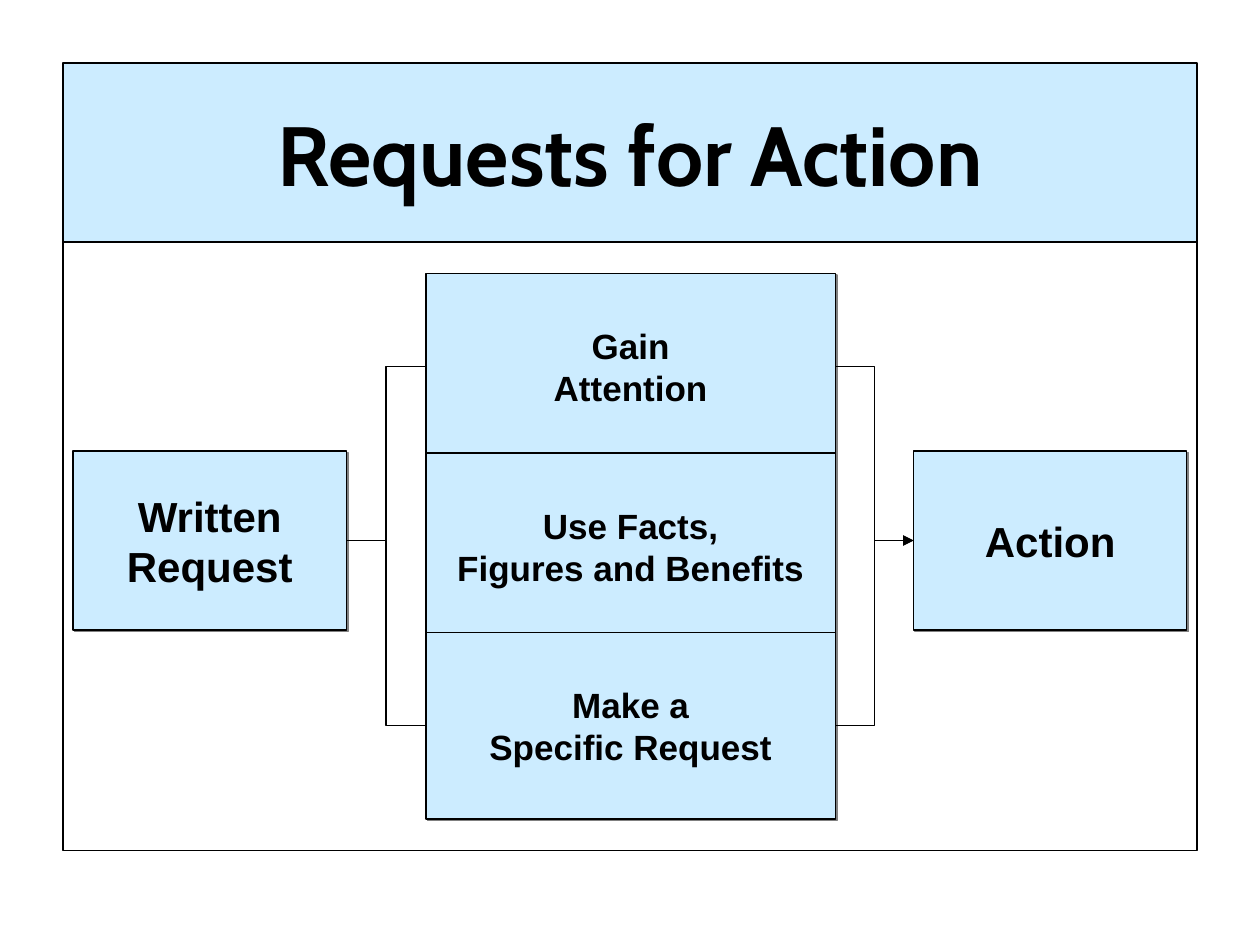
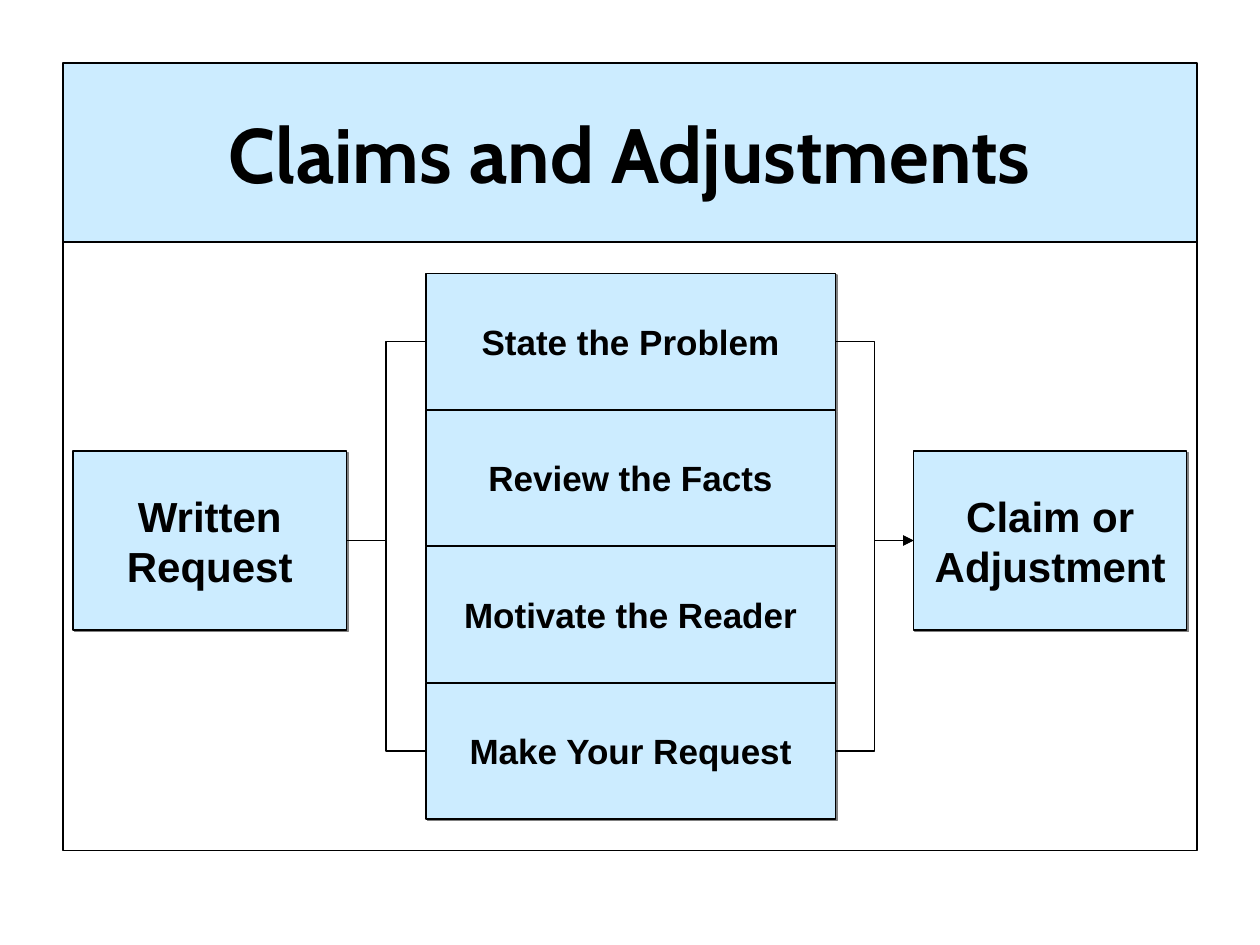
from pptx import Presentation
from pptx.dml.color import RGBColor
from pptx.enum.shapes import MSO_CONNECTOR, MSO_SHAPE
from pptx.enum.text import MSO_ANCHOR, PP_ALIGN
from pptx.oxml.ns import qn
from pptx.oxml.xmlchemy import OxmlElement
from pptx.util import Inches, Pt

COLORS = {"ink": "000000", "paper": "FFFFFF", "sky": "CCECFF", "shadow": "808080"}

# Shared geometry, in inches
FRAME_X, FRAME_W = 0.5, 9
TITLE_Y, TITLE_H = 0.5, 1.42
PANEL_Y, PANEL_H = 1.92, 4.83
END_SIZE = (2.17, 1.42)
END_Y, START_X, RESULT_X = 3.58, 0.58, 7.25
STEP_X, STEP_W = 3.38, 3.25
STEPS_TOP, STEPS_BOTTOM = 2.17, 6.5
LEFT_SITE, RIGHT_SITE = 1, 3  # connection sites of a rectangle

SLIDES = [
    {
        "title": "Requests for Action", "title_size": 48,
        "start": "Written\nRequest", "result": "Action", "step_height": 1.48,
        "steps": ["Gain\nAttention", "Use Facts,\nFigures and Benefits",
                  "Make a\nSpecific Request"],
    },
    {
        "title": "Claims and Adjustments", "title_size": 44,
        "start": "Written\nRequest", "result": "Claim or\nAdjustment", "step_height": 1.08,
        "steps": ["State the Problem", "Review the Facts",
                  "Motivate the Reader", "Make Your Request"],
    },
]


def rgb(name):
    return RGBColor.from_string(COLORS[name])


def set_line(line):
    line.color.rgb = rgb("ink")
    line.width = Pt(0.75)


def set_box(sp, fill):
    sp.fill.solid()
    sp.fill.fore_color.rgb = rgb(fill)
    set_line(sp.line)


def set_text(sp, text, font, size, wrap):
    tf = sp.text_frame
    tf.text = text
    tf.word_wrap = wrap
    tf.vertical_anchor = MSO_ANCHOR.MIDDLE
    for p in tf.paragraphs:
        p.alignment = PP_ALIGN.CENTER
        for r in p.runs:
            for name, value in {"name": font, "size": Pt(size), "bold": True}.items():
                setattr(r.font, name, value)
            r.font.color.rgb = rgb("ink")


def add_child(parent, tag, **attributes):
    child = OxmlElement(tag)
    for name, value in attributes.items():
        child.set(name, value)
    parent.append(child)
    return child


def add_rect(s, x, y, w, h, fill):
    sp = s.shapes.add_shape(MSO_SHAPE.RECTANGLE, Inches(x), Inches(y), Inches(w), Inches(h))
    set_box(sp, fill)
    sp.shadow.inherit = False
    return sp


def add_shadow(sp):
    effects = sp._element.spPr.find(qn("a:effectLst"))
    shadow = add_child(effects, "a:outerShdw", blurRad="0", dist=str(Pt(1.4)),
                       dir=str(45 * 60000), algn="ctr", rotWithShape="0")
    add_child(shadow, "a:srgbClr", val=COLORS["shadow"])


def add_label_box(s, x, y, w, h, text, size):
    sp = add_rect(s, x, y, w, h, "sky")
    add_shadow(sp)
    set_text(sp, text, "Arial", size, wrap=False)
    return sp


def add_elbow(s, source, target, arrow=False):
    connector = s.shapes.add_connector(MSO_CONNECTOR.ELBOW, 0, 0, 0, 0)
    connector.begin_connect(source, RIGHT_SITE)
    connector.end_connect(target, LEFT_SITE)
    set_line(connector.line)
    props = connector._element.spPr
    if arrow:
        add_child(props.find(qn("a:ln")), "a:tailEnd", type="triangle")
    add_child(props, "a:effectLst")


def add_title(s, text, size):
    title = s.shapes.title
    title.left, title.top = Inches(FRAME_X), Inches(TITLE_Y)
    title.width, title.height = Inches(FRAME_W), Inches(TITLE_H)
    set_box(title, "sky")
    set_text(title, text, "Cabin", size, wrap=True)


def add_steps(s, labels, height):
    pitch = (STEPS_BOTTOM - STEPS_TOP - height) / (len(labels) - 1)
    return [add_label_box(s, STEP_X, STEPS_TOP + i * pitch, STEP_W, height, label, 20)
            for i, label in enumerate(labels)]


def add_process_slide(prs, content):
    s = prs.slides.add_slide(prs.slide_layouts[5])

    # Title band and panel
    add_title(s, content["title"], content["title_size"])
    add_rect(s, FRAME_X, PANEL_Y, FRAME_W, PANEL_H, "paper")

    # Result, start and the stack of steps between them
    result = add_label_box(s, RESULT_X, END_Y, *END_SIZE, content["result"], 24)
    start = add_label_box(s, START_X, END_Y, *END_SIZE, content["start"], 24)
    steps = add_steps(s, content["steps"], content["step_height"])

    # Brackets joining the first and last step to both ends
    outer_steps = (steps[0], steps[-1])
    for step in outer_steps:
        add_elbow(s, start, step)
    for step in outer_steps:
        add_elbow(s, step, result, arrow=True)


def main():
    prs = Presentation()
    prs.slide_width, prs.slide_height = Inches(10), Inches(7.5)
    for content in SLIDES:
        add_process_slide(prs, content)
    prs.save("out.pptx")


if __name__ == "__main__":
    main()
